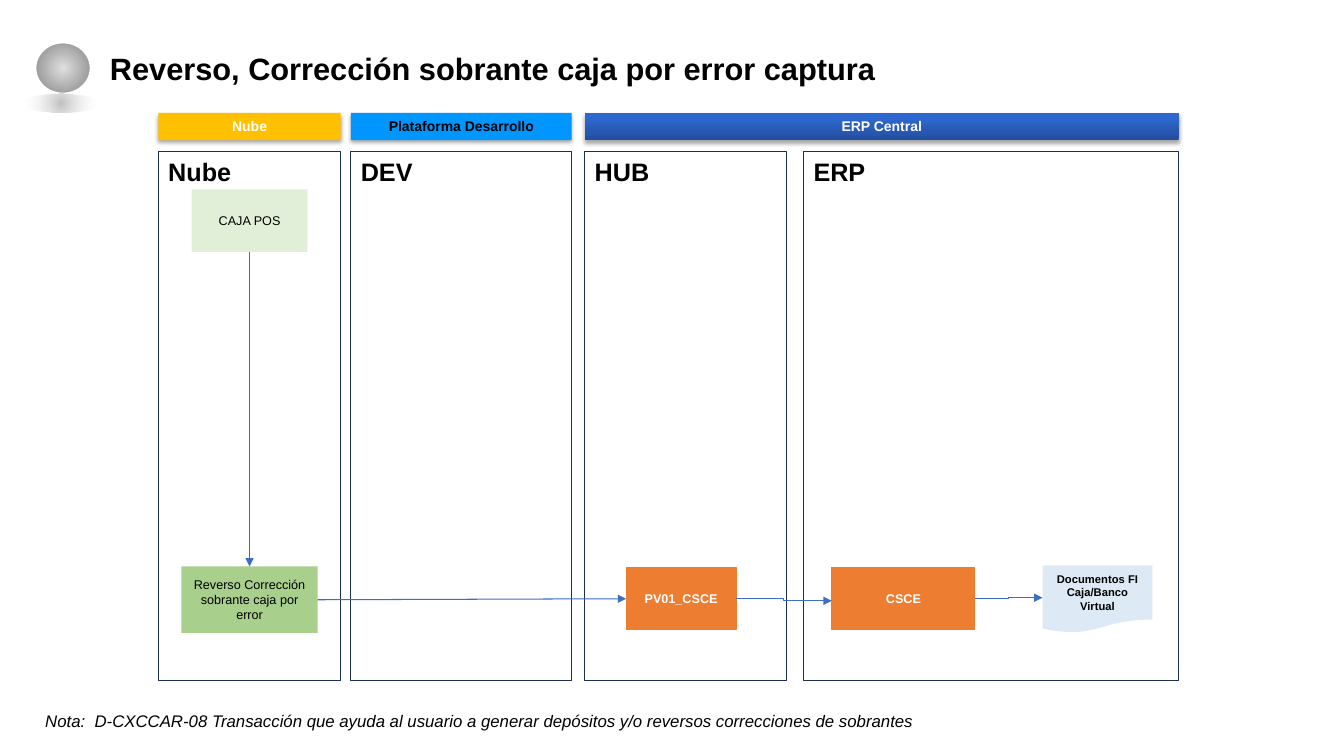
from dataclasses import dataclass
from typing import Optional

from pptx import Presentation
from pptx import util as u
from pptx.dml.color import RGBColor
from pptx.enum import shapes, text
from pptx.oxml import ns, parse_xml

PX = 9144  # EMU in one px, 100 px to the inch
FONT = "Arial"
BLACK = RGBColor(0x00, 0x00, 0x00)
WHITE = RGBColor(0xFF, 0xFF, 0xFF)
SILVER = RGBColor(0xE0, 0xE0, 0xE0)
GREY = RGBColor(0x80, 0x80, 0x80)
NAVY = RGBColor(0x1C, 0x30, 0x52)
ARROW_BLUE = RGBColor(0x3E, 0x6E, 0xC2)
SKY = RGBColor(0x00, 0x96, 0xFF)
AMBER = RGBColor(0xFF, 0xC0, 0x00)
ORANGE = RGBColor(0xED, 0x7D, 0x31)
MINT = RGBColor(0xE1, 0xEF, 0xD8)
GREEN = RGBColor(0xA8, 0xD0, 0x8C)
ICE = RGBColor(0xDD, 0xEA, 0xF6)
DEEP_BLUE = RGBColor(0x23, 0x4E, 0x9E)
ROYAL_BLUE = RGBColor(0x2E, 0x68, 0xCF)
BRIGHT_BLUE = RGBColor(0x2C, 0x67, 0xD3)

RECTANGLE = shapes.MSO_SHAPE.RECTANGLE
DOCUMENT = shapes.MSO_SHAPE.FLOWCHART_DOCUMENT
TOP, MIDDLE = text.MSO_ANCHOR.TOP, text.MSO_ANCHOR.MIDDLE
CENTER, LEFT = text.PP_ALIGN.CENTER, text.PP_ALIGN.LEFT
LANE_TOP, LANE_HEIGHT = 150, 525
HEADER_TOP, HEADER_HEIGHT = 112, 27
LINEAR_UP = '<a:lin ang="16200000" scaled="0"/>'
RADIAL = '<a:path path="circle"><a:fillToRect l="50000" t="50000" r="50000" b="50000"/></a:path>'


@dataclass(frozen=True)
class Lane:
    label: str
    left: int
    width: int


@dataclass(frozen=True)
class Header:
    label: str
    left: int
    width: int
    fill: Optional[RGBColor]
    color: RGBColor = WHITE


@dataclass(frozen=True)
class Step:
    label: str
    left: int
    top: int
    width: int
    height: int
    fill: RGBColor
    color: RGBColor = BLACK
    size: int = 9
    bold: bool = False
    outline: Optional[RGBColor] = None
    kind: shapes.MSO_SHAPE = RECTANGLE


LANES = [Lane("Nube", 157, 181), Lane("DEV", 348, 219), Lane("HUB", 580, 200), Lane("ERP", 797, 372)]
HEADERS = [
    Header("Nube", 157, 181, AMBER),
    Header("Plataforma Desarrollo", 348, 219, SKY, BLACK),
    Header("ERP Central", 580, 589, None),
]
SALES = Step("CAJA POS", 190, 188, 115, 62, MINT)
REVERSAL = Step("Reverso Corrección sobrante caja por error", 180, 562, 135, 66, GREEN)
POSTING = Step("PV01_CSCE", 621, 563, 109, 62, ORANGE, WHITE, bold=True, outline=ORANGE)
SURPLUS = Step("CSCE", 825, 563, 142, 62, ORANGE, WHITE, bold=True, outline=ORANGE)
DOCUMENTS = Step("Documentos FI Caja/Banco Virtual", 1034, 561, 109, 67, ICE,
                 size=8, bold=True, kind=DOCUMENT)


def write(box, wording: str, *, size: int, color: RGBColor = BLACK, bold: bool = False,
          italic: bool = False, align=LEFT, anchor=TOP, spacing: float = 1.0) -> None:
    frame = box.text_frame
    frame.word_wrap = True
    frame.auto_size = text.MSO_AUTO_SIZE.NONE
    frame.vertical_anchor = anchor
    frame.margin_left = frame.margin_right = 10 * PX
    frame.margin_top = frame.margin_bottom = 5 * PX
    para = frame.paragraphs[0]
    para.alignment = align
    para.line_spacing = spacing
    span = para.add_run()
    span.text = wording
    span.font.name = FONT
    span.font.size = u.Pt(size)
    span.font.bold = bold
    span.font.italic = italic
    span.font.color.rgb = color


def add_box(parent, kind, left: int, top: int, width: int, height: int, *,
            fill: Optional[RGBColor] = None, outline: Optional[RGBColor] = None,
            weight: float = 0.75):
    box = parent.add_shape(kind, left * PX, top * PX, width * PX, height * PX)
    box.shadow.inherit = False
    if fill is None:
        box.fill.background()
    else:
        box.fill.solid()
        box.fill.fore_color.rgb = fill
    if outline is None:
        box.line.fill.background()
    else:
        box.line.color.rgb = outline
        box.line.width = u.Pt(weight)
    return box


def set_gradient(box, stops: list, direction: str) -> None:
    """Replace an empty fill; each stop is (position %, colour, opacity %)."""
    marks = "".join(
        f'<a:gs pos="{place * 1000}"><a:srgbClr val="{color}">'
        f'<a:alpha val="{opacity * 1000}"/></a:srgbClr></a:gs>'
        for place, color, opacity in stops)
    properties = box._element.spPr
    properties.replace(properties.find(ns.qn("a:noFill")), parse_xml(
        f'<a:gradFill {ns.nsdecls("a")} rotWithShape="1"><a:gsLst>{marks}</a:gsLst>'
        f'{direction}</a:gradFill>'))


def add_shadow(box) -> None:
    box._element.spPr.find(ns.qn("a:effectLst")).append(parse_xml(
        f'<a:outerShdw {ns.nsdecls("a")} blurRad="{u.Pt(3.1)}" dist="{u.Pt(1.8)}" '
        'dir="5400000" rotWithShape="0"><a:srgbClr val="000000">'
        '<a:alpha val="35000"/></a:srgbClr></a:outerShdw>'))


def add_sphere(page) -> None:
    group = page.shapes.add_group_shape()
    ball = add_box(group.shapes, shapes.MSO_SHAPE.OVAL, 35, 42, 55, 51, outline=WHITE, weight=1.5)
    set_gradient(ball, [(0, SILVER, 100), (100, GREY, 100)], RADIAL)
    reflection = add_box(group.shapes, shapes.MSO_SHAPE.OVAL, 22, 93, 77, 19)
    set_gradient(reflection, [(0, GREY, 50), (100, WHITE, 0)], RADIAL)


def add_lane(page, lane: Lane) -> None:
    box = add_box(page.shapes, RECTANGLE, lane.left, LANE_TOP, lane.width, LANE_HEIGHT, outline=NAVY)
    write(box, lane.label, size=18, bold=True)


def add_header(page, header: Header) -> None:
    box = add_box(page.shapes, RECTANGLE, header.left, HEADER_TOP, header.width, HEADER_HEIGHT,
                  fill=header.fill)
    if header.fill is None:
        set_gradient(box, [(0, DEEP_BLUE, 100), (80, ROYAL_BLUE, 100), (100, BRIGHT_BLUE, 100)],
                     LINEAR_UP)
    add_shadow(box)
    write(box, header.label, size=10, color=header.color, bold=True, align=CENTER)


def add_step(page, step: Step):
    box = add_box(page.shapes, step.kind, step.left, step.top, step.width, step.height,
                  fill=step.fill, outline=step.outline)
    write(box, step.label, size=step.size, color=step.color, bold=step.bold,
          align=CENTER, anchor=MIDDLE)
    return box


def add_arrow(page, kind, start: tuple = (0, 0), end: tuple = (0, 0)):
    arrow = page.shapes.add_connector(kind, *(value * PX for value in start + end))
    arrow.line.color.rgb = ARROW_BLUE
    arrow.line.width = u.Pt(0.75)
    arrow.line._get_or_add_ln().append(parse_xml(f'<a:tailEnd {ns.nsdecls("a")} type="triangle"/>'))
    arrow._element.spPr.append(parse_xml(f'<a:effectLst {ns.nsdecls("a")}/>'))
    return arrow


def join(page, source, source_side: int, target, target_side: int) -> None:
    arrow = add_arrow(page, shapes.MSO_CONNECTOR.STRAIGHT)
    arrow.begin_connect(source, source_side)
    arrow.end_connect(target, target_side)


def main() -> None:
    deck = Presentation()
    deck.slide_width, deck.slide_height = 1333 * PX, 750 * PX
    page = deck.slides.add_slide(deck.slide_layouts[5])
    title = page.shapes.title
    title.left, title.top, title.width, title.height = 99 * PX, 48 * PX, 1113 * PX, 43 * PX
    write(title, "Reverso, Corrección sobrante caja por error captura", size=22, bold=True, spacing=0.9)
    add_sphere(page)
    for lane in LANES:
        add_lane(page, lane)
    for header in HEADERS:
        add_header(page, header)
    sales, reversal, posting, _, _ = [
        add_step(page, step) for step in (SALES, REVERSAL, POSTING, SURPLUS, DOCUMENTS)]
    join(page, sales, 2, reversal, 0)
    join(page, reversal, 3, posting, 1)
    add_arrow(page, shapes.MSO_CONNECTOR.ELBOW, (730, 594), (825, 596))
    add_arrow(page, shapes.MSO_CONNECTOR.ELBOW, (967, 594), (1034, 593))
    note = page.shapes.add_textbox(35 * PX, 700 * PX, 949 * PX, 30 * PX)
    write(note, "Nota:  D-CXCCAR-08 Transacción que ayuda al usuario a generar depósitos y/o "
                "reversos correcciones de sobrantes", size=12, italic=True)
    deck.save("out.pptx")


if __name__ == "__main__":
    main()
